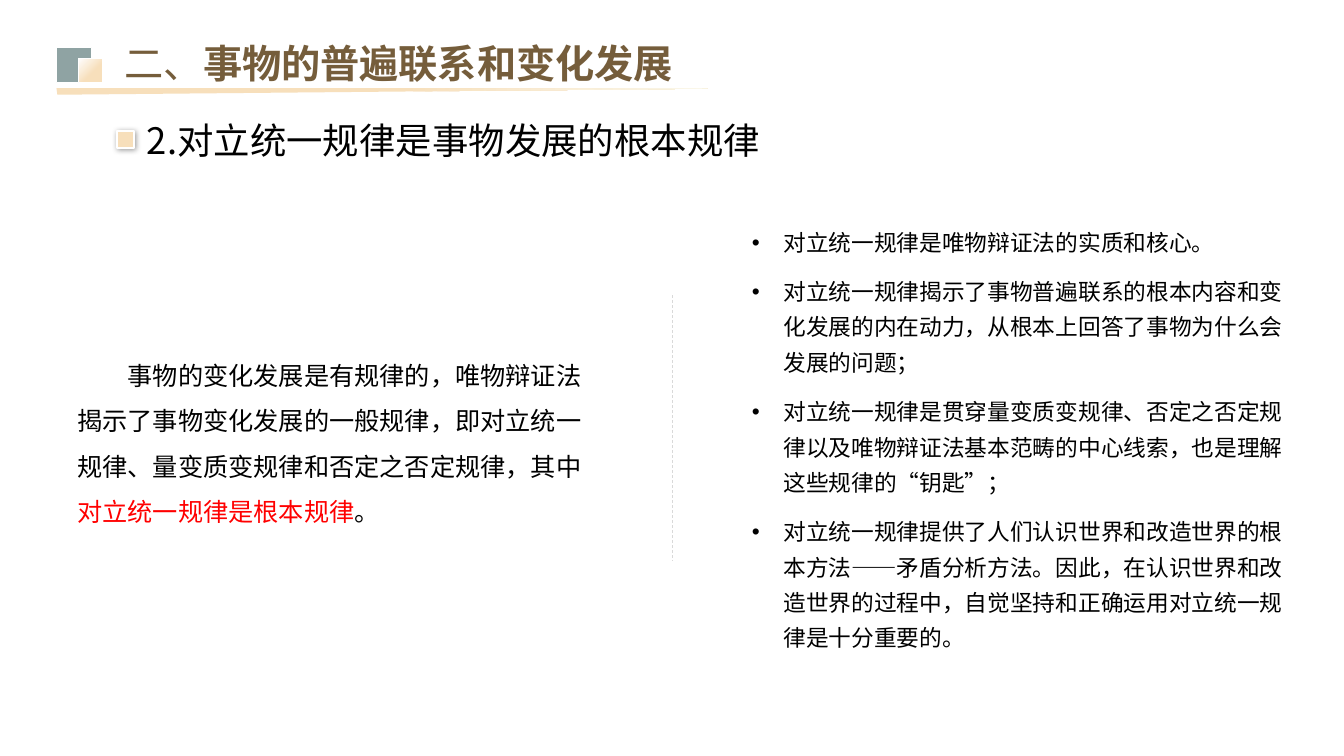
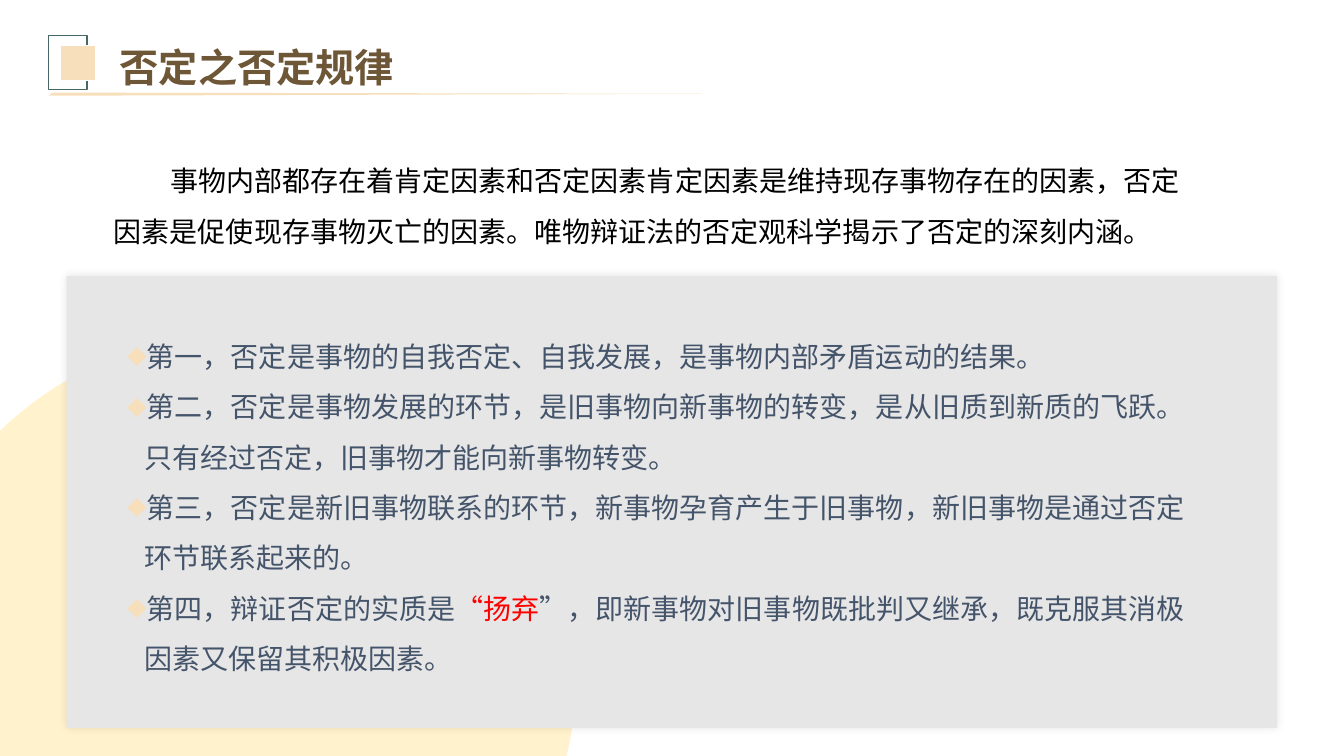
from math import acos, asin, cos, pi, sin

from lxml import etree
from pptx import Presentation
from pptx.dml.color import RGBColor
from pptx.enum.dml import MSO_LINE
from pptx.enum.lang import MSO_LANGUAGE_ID
from pptx.enum.shapes import MSO_CONNECTOR, MSO_SHAPE
from pptx.enum.text import MSO_ANCHOR, PP_ALIGN
from pptx.oxml.ns import qn
from pptx.util import Pt

RECT, PROCESS = MSO_SHAPE.RECTANGLE, MSO_SHAPE.FLOWCHART_PROCESS
MIDDLE, TOP = MSO_ANCHOR.MIDDLE, MSO_ANCHOR.TOP
JUSTIFY = PP_ALIGN.JUSTIFY
DASH = MSO_LINE.DASH
STRAIGHT = MSO_CONNECTOR.STRAIGHT
CHINESE = MSO_LANGUAGE_ID.SIMPLIFIED_CHINESE

FONT = "Noto Sans CJK SC"
WIDTH, HEIGHT = 960, 540
WHITE, BLACK, RED = "FFFFFF", "000000", "FF0000"
PEACH, CREAM, PALE_YELLOW = "F7DFBB", "FCFBEF", "FFF2CC"
TEAL, BROWN, DARK_BROWN = "456766", "755D3B", "6E5737"
SLATE, PANEL_GRAY, RULE_GRAY = "44546A", "E7E6E6", "D9D9D9"
TITLE_SIZE = 28

# A paragraph is a list of runs: (text, colour) or (text, colour, bold).
LAWS_TITLE = [[("二、", BROWN), ("事物的普遍联系和变化发展", BROWN, True)]]
LAWS_HEADING = [[("2.对立统一规律是事物发展的根本规律", BLACK)]]
LAWS_INTRO = [[
    ("事物的变化发展是有规律的，唯物辩证法揭示了事物变化发展的一般规律，"
     "即对立统一规律、量变质变规律和否定之否定规律，其中", BLACK),
    ("对立统一规律是根本规律", RED),
    ("。", BLACK),
]]
LAWS_POINTS = [[(text, BLACK)] for text in (
    "对立统一规律是唯物辩证法的实质和核心。",
    "对立统一规律揭示了事物普遍联系的根本内容和变化发展的内在动力，"
    "从根本上回答了事物为什么会发展的问题；",
    "对立统一规律是贯穿量变质变规律、否定之否定规律以及唯物辩证法基本范畴的中心线索，"
    "也是理解这些规律的“钥匙”；",
    "对立统一规律提供了人们认识世界和改造世界的根本方法——矛盾分析方法。"
    "因此，在认识世界和改造世界的过程中，自觉坚持和正确运用对立统一规律是十分重要的。",
)]

NEGATION_TITLE = [[("否定之否定规律", DARK_BROWN, True)]]
NEGATION_INTRO = [[
    ("事物内部都存在着肯定因素和否定因素肯定因素是维持现存事物存在的因素，"
     "否定因素是促使现存事物灭亡的因素。唯物辩证法的否定观科学揭示了否定的深刻内涵。", BLACK),
]]
NEGATION_POINTS = [
    [("第一，否定是事物的自我否定、自我发展，是事物内部矛盾运动的结果。", SLATE)],
    [("第二，否定是事物发展的环节，是旧事物向新事物的转变，是从旧质到新质的飞跃。"
      "只有经过否定，旧事物才能向新事物转变。", SLATE)],
    [("第三，否定是新旧事物联系的环节，新事物孕育产生于旧事物，"
      "新旧事物是通过否定环节联系起来的。", SLATE)],
    [("第四，辩证否定的实质是", SLATE), ("“扬弃", RED),
     ("”，即新事物对旧事物既批判又继承，既克服其消极因素又保留其积极因素。", SLATE)],
]


def rgb(color):
    return RGBColor.from_string(color)


def add_child(parent, tag, **attributes):
    child = etree.SubElement(parent, qn(tag))
    for key, value in attributes.items():
        child.set(key, str(value))
    return child


def paint(shape, fill=None, line=None):
    shape.shadow.inherit = False
    if fill:
        shape.fill.solid()
        shape.fill.fore_color.rgb = rgb(fill)
    else:
        shape.fill.background()
    if line:
        shape.line.color.rgb = rgb(line)
        shape.line.width = Pt(1)
    else:
        shape.line.fill.background()


def paint_gradient(shape, stops, angle):
    """Two (position, colour) stops; the angle runs counter-clockwise."""
    shape.fill.gradient()
    shape.fill.gradient_angle = angle
    for stop, (position, color) in zip(shape.fill.gradient_stops, stops):
        stop.position = position
        stop.color.rgb = rgb(color)


def set_alpha(shape, percent):
    color = shape.fill._xPr.find(qn("a:solidFill"))[0]
    add_child(color, "a:alpha", val=percent * 1000)


def set_shadow(shape, color, percent, blur, distance, angle):
    effects = shape._element.spPr.find(qn("a:effectLst"))
    shadow = add_child(effects, "a:outerShdw", blurRad=Pt(blur), dist=Pt(distance),
                       dir=angle * 60000, algn="ctr", rotWithShape=0)
    tint = add_child(shadow, "a:srgbClr", val=color)
    add_child(tint, "a:alpha", val=percent * 1000)


def add_block(slide, box, fill=None, line=None, kind=RECT):
    shape = slide.shapes.add_shape(kind, *map(Pt, box))
    paint(shape, fill, line)
    return shape


def add_outline(slide, points, fill):
    corners = [(Pt(x), Pt(y)) for x, y in points]
    builder = slide.shapes.build_freeform(*corners[0])
    builder.add_line_segments(corners[1:], close=True)
    shape = builder.convert_to_shape()
    paint(shape, fill)
    return shape


def set_bullet(properties, char, color, size, font):
    tint = add_child(properties, "a:buClr")
    add_child(tint, "a:srgbClr", val=color)
    add_child(properties, "a:buSzPct", val=size * 1000)
    add_child(properties, "a:buFont", typeface=font)
    add_child(properties, "a:buChar", char=char)


def add_text(slide, box, paragraphs, size, spacing=None, gap=0, margin=0, indent=0,
             bullet=None, anchor=TOP, align=None):
    frame = slide.shapes.add_textbox(*map(Pt, box)).text_frame
    frame.word_wrap = True
    frame.vertical_anchor = anchor
    for index, runs in enumerate(paragraphs):
        paragraph = frame.add_paragraph() if index else frame.paragraphs[0]
        properties = paragraph._p.get_or_add_pPr()
        properties.set("marL", str(Pt(margin)))
        properties.set("indent", str(Pt(indent)))
        if bullet:
            set_bullet(properties, *bullet)
        paragraph.alignment = align
        if spacing:
            paragraph.line_spacing = spacing
        if index and gap:
            paragraph.space_before = Pt(gap)
        for text, color, *bold in runs:
            run = paragraph.add_run()
            run.text = text
            font = run.font
            font.size = Pt(size)
            font.name = FONT
            font.language_id = CHINESE
            font.color.rgb = rgb(color)
            font.bold = bool(bold)
            add_child(run._r.rPr, "a:ea", typeface=FONT)


def add_title(slide, left, top, paragraphs, underline):
    add_text(slide, (left, top, 460, 41), paragraphs, TITLE_SIZE)
    return add_outline(slide, underline, PEACH)


def circle_cut_by_corner(center_x, center_y, radius):
    """Outline of the part of a circle inside the slide's lower left corner."""
    start = pi + acos(center_x / radius)
    end = 2 * pi + asin((HEIGHT - center_y) / radius)
    steps = 60
    angles = [start + (end - start) * i / steps for i in range(steps + 1)]
    arc = [(center_x + radius * cos(a), center_y + radius * sin(a)) for a in angles]
    return [(0, HEIGHT)] + arc


def build_laws(slide):
    divider = slide.shapes.add_connector(STRAIGHT, Pt(480), Pt(211), Pt(480), Pt(401))
    divider.line.color.rgb = rgb(RULE_GRAY)
    divider.line.width = Pt(0.5)
    divider.line.dash_style = DASH
    add_child(divider._element.spPr, "a:effectLst")

    body_top, body_height = 152.6, 317.5
    add_text(slide, (48.2, body_top, 382.3, body_height), LAWS_INTRO, 18, spacing=1.5,
             indent=36, anchor=MIDDLE)
    add_text(slide, (530, body_top, 403.2, body_height), LAWS_POINTS, 16.2, spacing=1.3,
             gap=10, margin=22.5, indent=-22.5, bullet=("•", BLACK, 100, "Arial"),
             anchor=MIDDLE)

    underline = add_title(slide, 82.1, 24.5, LAWS_TITLE,
                          [(40.3, 62.6), (505.4, 63.4), (41, 67.7)])
    paint_gradient(underline, [(0.53, PEACH), (1, CREAM)], 0)
    set_alpha(add_block(slide, (40.3, 33.8, 25.2, 25.2), TEAL, WHITE), 60)
    small_square = add_block(slide, (56.2, 41.8, 17.3, 17.3), PEACH, WHITE)
    paint_gradient(small_square, [(0, WHITE), (0.6, PEACH)], 315)

    add_text(slide, (97.9, 80.6, 485.3, 38.9), LAWS_HEADING, 26, align=JUSTIFY)
    marker = add_block(slide, (83.5, 93.6, 12.2, 12.2), PEACH, WHITE)
    set_shadow(marker, BLACK, 40, 4, 1, 45)


def build_negation(slide):
    add_outline(slide, circle_cut_by_corner(169.2, 481.7, 242.6), PALE_YELLOW)
    panel = add_block(slide, (47.5, 197.3, 864.7, 322.6), PANEL_GRAY)
    set_shadow(panel, "0D0D0D", 10, 6, 0, 0)
    add_text(slide, (68.4, 226.8, 792, 261.4), NEGATION_POINTS, 20, spacing=1.5,
             margin=27.4, indent=-12, bullet=("◆", PEACH, 70, FONT))

    add_block(slide, (34.6, 25.2, 27.4, 38.9), line=TEAL, kind=PROCESS)
    add_block(slide, (43.2, 32.4, 25.2, 25.2), PEACH, WHITE)
    add_title(slide, 78.5, 27.4, NEGATION_TITLE,
              [(37.4, 66.2), (502.6, 67), (34.6, 68.4)])
    add_text(slide, (74.2, 101.5, 793.4, 79.9), NEGATION_INTRO, 20, spacing=1.5, indent=40.3)


def main():
    deck = Presentation()
    deck.slide_width, deck.slide_height = Pt(WIDTH), Pt(HEIGHT)
    for build in (build_laws, build_negation):
        slide = deck.slides.add_slide(deck.slide_layouts[6])
        slide.background.fill.solid()
        slide.background.fill.fore_color.rgb = rgb(WHITE)
        build(slide)
    deck.save("out.pptx")


if __name__ == "__main__":
    main()
